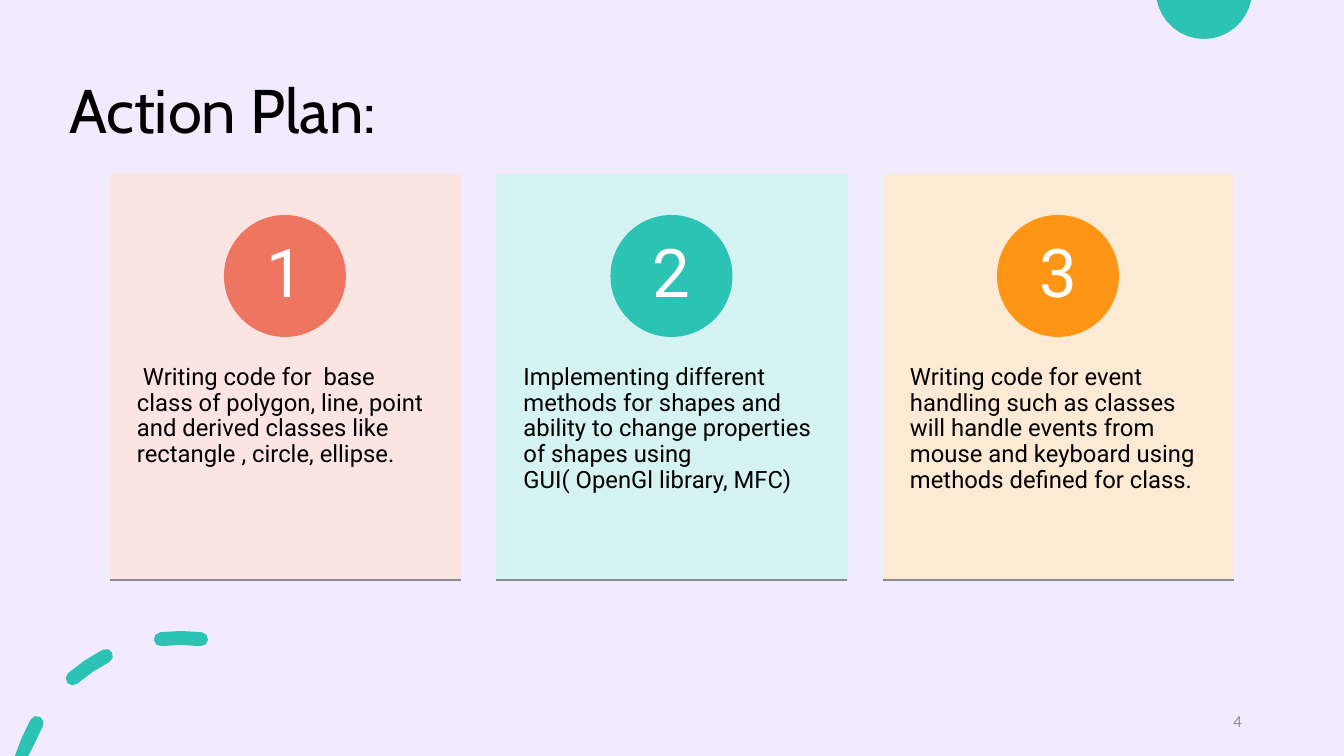
from math import cos, radians, sin
from lxml.etree import SubElement
from pptx import Presentation
from pptx.dml.color import RGBColor
from pptx.enum.shapes import MSO_CONNECTOR as CONNECTOR, MSO_SHAPE as SHAPE
from pptx.enum.text import MSO_ANCHOR as ANCHOR, PP_ALIGN as ALIGN
from pptx.oxml.ns import qn
from pptx.util import Pt

SCALE = 914400 / 100.8
WIDTH, HEIGHT = 1344, 756
TEAL = "2CC3B4"


def px(*lengths):
    return [round(length * SCALE) for length in lengths]


def color(value):
    return RGBColor.from_string(value)


presentation = Presentation()
presentation.slide_width, presentation.slide_height = px(WIDTH, HEIGHT)
slide = presentation.slides.add_slide(presentation.slide_layouts[6])
slide.background.fill.solid()
slide.background.fill.fore_color.rgb = color("F2EAFE")

half_circle = [(1204 + 48 * cos(radians(a)), -9 + 48 * sin(radians(a))) for a in range(10, 171, 10)]

center_x, center_y, radius, half_width = 181, 803, 165, 7
dashes = []
for start, end in [(-75, -61), (-41, -27), (-7, 7)]:
    angles = [start, (start + end) / 2, end]
    dash = []
    for side, tip in [(1, end), (-1, start)]:
        for a in angles[::side]:
            r = radius + side * half_width
            dash.append((center_x + r * sin(radians(a)), center_y - r * cos(radians(a))))
        tip_x = center_x + radius * sin(radians(tip))
        tip_y = center_y - radius * cos(radians(tip))
        for turn in (-45, 0, 45):
            a = radians(tip + turn)
            dash.append((tip_x + side * half_width * cos(a), tip_y + side * half_width * sin(a)))
    dashes.append(dash)

for outlines in [[half_circle], dashes]:
    contours = [[px(x, min(max(y, 0), HEIGHT)) for x, y in outline] for outline in outlines]
    builder = slide.shapes.build_freeform(*contours[0][0], scale=1.0)
    for contour in contours:
        if contour is not contours[0]:
            builder.move_to(*contour[0])
        builder.add_line_segments(contour[1:], close=True)
    shape = builder.convert_to_shape()
    shape.shadow.inherit = False
    shape.fill.solid()
    shape.fill.fore_color.rgb = color(TEAL)
    shape.line.fill.background()


def write(box, text, font, size, text_color, align, anchor, insets, spacing=0.9):
    frame = slide.shapes.add_textbox(*px(*box)).text_frame
    frame.word_wrap = True
    frame.vertical_anchor = anchor
    frame.margin_left = frame.margin_right = px(insets[0])[0]
    frame.margin_top = frame.margin_bottom = px(insets[1])[0]
    paragraph = frame.paragraphs[0]
    paragraph.text = text
    paragraph.alignment = align
    paragraph.line_spacing = spacing
    paragraph.font.name = font
    paragraph.font.size = Pt(size)
    paragraph.font.color.rgb = color(text_color)


write((59, 41, 1159, 146), "Action Plan:", "Cabin", 44, "000000",
      ALIGN.LEFT, ANCHOR.MIDDLE, (10, 5))

steps = [
    ("FCE4DF", "EE7661", " Writing code for  base class of polygon, line, point and derived "
     "classes like rectangle , circle, ellipse."),
    ("D3F5F2", TEAL, "Implementing different methods for shapes and ability to change "
     "properties of shapes using GUI( OpenGl library, MFC)"),
    ("FFEAD0", "FF9514", "Writing code for event handling such as classes will handle events "
     "from mouse and keyboard using methods defined for class."),
]
first_left, last_left = 110, 883
card_top, card_bottom, card_width = 174, 580, 351
card_step = (last_left - first_left) / (len(steps) - 1)
for index, (card_color, circle_color, text) in enumerate(steps):
    left = first_left + index * card_step
    card = slide.shapes.add_shape(
        SHAPE.RECTANGLE, *px(left, card_top, card_width, card_bottom - card_top))
    write((left, 329, card_width, 243), text, "Roboto", 17, "000000",
          ALIGN.LEFT, ANCHOR.TOP, (27, 36))
    circle = slide.shapes.add_shape(SHAPE.OVAL, *px(left + 114, 215, 122, 122))
    for shape, fill in [(card, card_color), (circle, circle_color)]:
        shape.shadow.inherit = False
        shape.fill.solid()
        shape.fill.fore_color.rgb = color(fill)
        shape.line.fill.background()
    card_fill = card.fill._xPr.find(qn("a:solidFill"))
    SubElement(card_fill[0], qn("a:alpha"), val="90000")
    write((left + 132, 233, 86, 86), str(index + 1), "Roboto", 48, "FFFFFF",
          ALIGN.CENTER, ANCHOR.MIDDLE, (9, 1))
    edge = slide.shapes.add_connector(
        CONNECTOR.STRAIGHT, *px(left, card_bottom, left + card_width, card_bottom))
    edge.line.color.rgb = color("8C8C8C")
    edge.line.width = Pt(0.75)
    SubElement(edge._element.spPr, qn("a:effectLst"))

write((950, 701, 302, 40), "4", "Calibri", 12, "8C8C8C", ALIGN.RIGHT, ANCHOR.MIDDLE, (10, 5), 1.0)

presentation.save("out.pptx")
